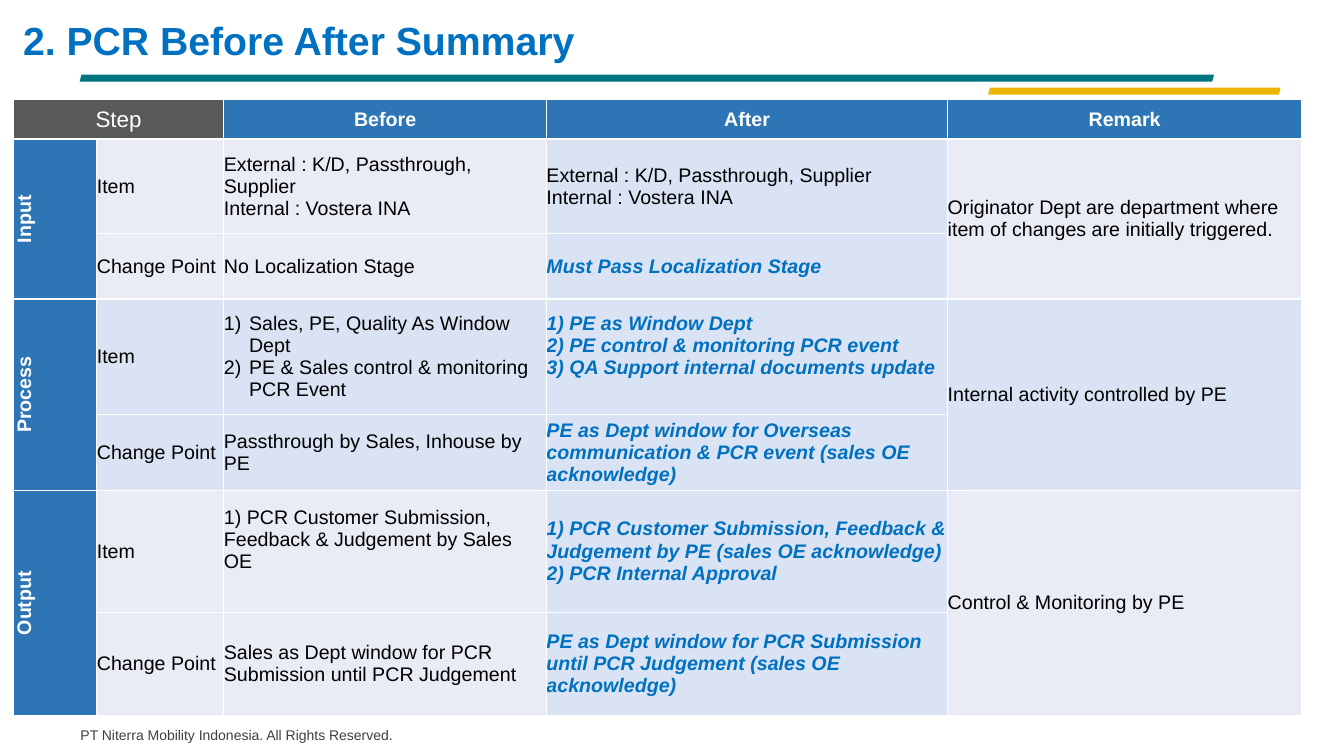
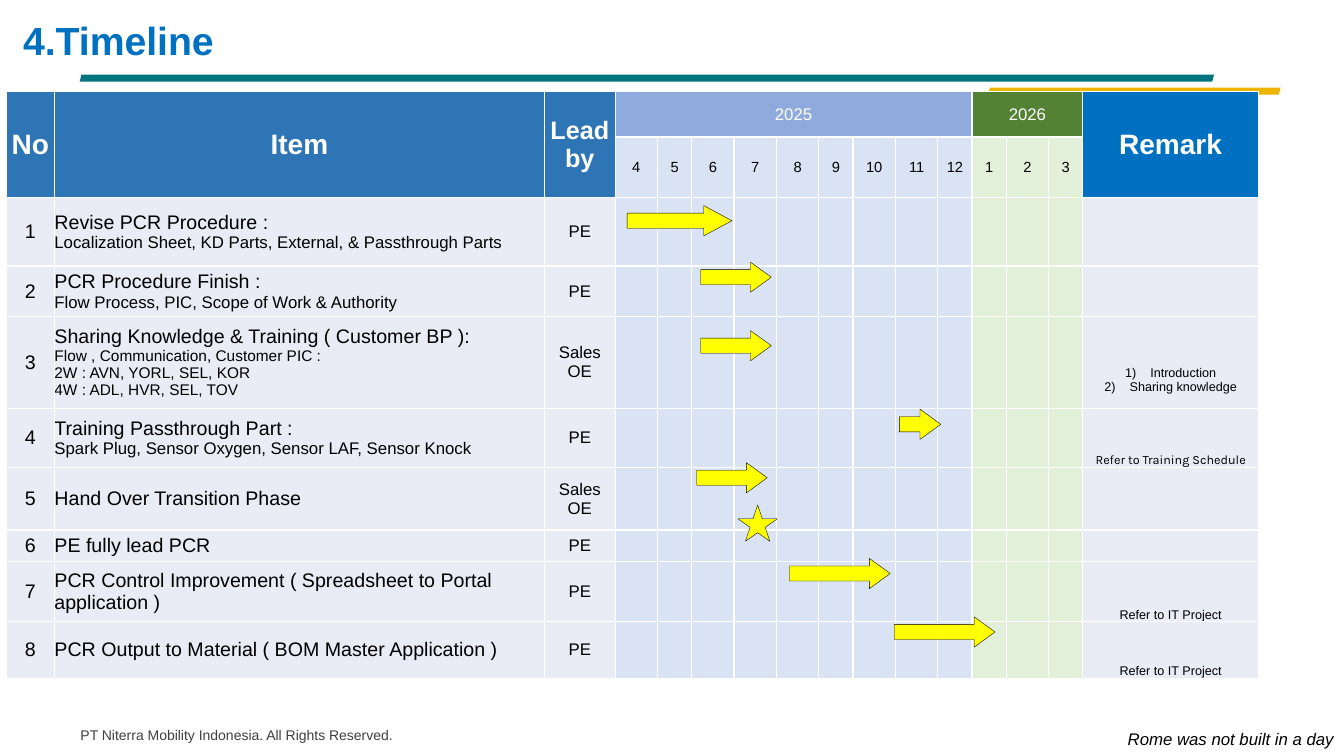
from dataclasses import dataclass, replace
from typing import NamedTuple, Optional

from lxml import etree
from pptx import Presentation
from pptx import util as u
from pptx.dml import color
from pptx.enum import shapes, text
from pptx.oxml import ns

WIDTH, HEIGHT = u.Inches(13.33), u.Inches(7.5)
FONT = "Arial"
WHITE, BLACK = "FFFFFF", "000000"
HEADING, HEADER, STEP = "0070C0", "2E75B6", "595959"
TEAL, GOLD, FOOTER = "007580", "EEB500", "3F3F3F"
PLAIN, BLUE_TINT, GREEN_TINT = "E9EBF5", "DAE3F3", "E2F0D9"
YEAR_BLUE, YEAR_GREEN, MARKER = "8FAADC", "548235", "FFFF00"

CENTER, LEFT, RIGHT = text.PP_ALIGN.CENTER, text.PP_ALIGN.LEFT, text.PP_ALIGN.RIGHT
MIDDLE, BOTTOM = text.MSO_ANCHOR.MIDDLE, text.MSO_ANCHOR.BOTTOM
ARROW = shapes.MSO_SHAPE.RIGHT_ARROW
STAR = shapes.MSO_SHAPE.STAR_5_POINT
SLANTED = shapes.MSO_SHAPE.PARALLELOGRAM


class Box(NamedTuple):
    """A place on the slide, in percent of its width and height."""
    left: float
    top: float
    width: float
    height: float

    def lengths(self) -> tuple:
        return (u.Emu(int(WIDTH * self.left / 100)), u.Emu(int(HEIGHT * self.top / 100)),
                u.Emu(int(WIDTH * self.width / 100)), u.Emu(int(HEIGHT * self.height / 100)))


@dataclass(frozen=True)
class Style:
    size: float = 14
    colour: str = BLACK
    bold: bool = False
    italic: bool = False
    align: text.PP_ALIGN = LEFT
    font: str = FONT


@dataclass(frozen=True)
class Cell:
    lines: tuple = ()
    fill: str = PLAIN
    style: Style = Style()
    detail_size: Optional[float] = None
    rows: int = 1
    columns: int = 1
    anchor: text.MSO_ANCHOR = MIDDLE
    right: float = 0
    bottom: float = 0
    vertical: bool = False
    numbered: bool = False


class Marker(NamedTuple):
    box: Box
    preset: shapes.MSO_SHAPE = ARROW
    adjustments: tuple = (0.5, 0.69)


TITLE_BOX = Box(0.98, 1.47, 60.24, 7.6)
FOOTER_BOX = Box(5.25, 95.47, 35.78, 3.6)
MOTTO_BOX = Box(78.92, 95.73, 21.08, 4)
BANDS = ((Box(5.93, 9.87, 84.4, 0.93), TEAL), (Box(73.52, 11.6, 21.76, 0.93), GOLD))

HEAD = Style(colour=WHITE, bold=True, align=CENTER)
BIG_HEAD = replace(HEAD, size=20)
YEAR = replace(HEAD, size=12, bold=False)
CHANGED = Style(colour=HEADING, bold=True, italic=True)
NUMBER = Style(align=CENTER)
LEAD = Style(size=12, align=CENTER)
MONTH = Style(size=10.5, align=CENTER)
REMARK = Style(size=9, align=CENTER)


def rgb(value: str) -> color.RGBColor:
    return color.RGBColor.from_string(value)


def add_element(parent, tag: str, **attributes: str):
    element = etree.SubElement(parent, ns.qn(tag))
    for name, value in attributes.items():
        element.set(name, value)
    return element


def number_paragraph(paragraph) -> None:
    properties = paragraph._p.get_or_add_pPr()
    properties.set("marL", str(u.Inches(0.25)))
    properties.set("indent", str(-u.Inches(0.25)))
    add_element(add_element(properties, "a:buClr"), "a:srgbClr", val=BLACK)
    add_element(properties, "a:buAutoNum", type="arabicParenR")


def write(text_frame, lines: tuple, style: Style, detail_size: Optional[float] = None,
          numbered: bool = False) -> None:
    """Write one paragraph per line; detail_size applies after the first."""
    text_frame.text = "\n".join(lines)
    for index, paragraph in enumerate(text_frame.paragraphs):
        paragraph.alignment = style.align
        if numbered:
            number_paragraph(paragraph)
        for run in paragraph.runs:
            run.font.name = style.font
            run.font.size = u.Pt(detail_size if index and detail_size else style.size)
            run.font.bold, run.font.italic = style.bold, style.italic
            run.font.color.rgb = rgb(style.colour)


def add_text(slide, box: Box, words: str, style: Style) -> None:
    text_frame = slide.shapes.add_textbox(*box.lengths()).text_frame
    text_frame.word_wrap = True
    text_frame.auto_size = text.MSO_AUTO_SIZE.SHAPE_TO_FIT_TEXT
    write(text_frame, (words,), style)


def add_shape(slide, preset, box: Box, fill: str, adjustments: tuple = (),
              line: Optional[str] = None):
    shape = slide.shapes.add_shape(preset, *box.lengths())
    shape.shadow.inherit = False
    shape.fill.solid()
    shape.fill.fore_color.rgb = rgb(fill)
    for index, value in enumerate(adjustments):
        shape.adjustments[index] = value
    if line:
        shape.line.color.rgb = rgb(line)
        shape.line.width = u.Pt(0.25)
    else:
        shape.line.fill.background()
    return shape


def add_slide(presentation, title: str):
    slide = presentation.slides.add_slide(presentation.slide_layouts[6])
    add_text(slide, FOOTER_BOX, "PT Niterra Mobility Indonesia. All Rights Reserved.",
             Style(size=10, colour=FOOTER))
    for box, fill in BANDS:
        add_shape(slide, SLANTED, box, fill, (0.25,))
    add_text(slide, TITLE_BOX, title, Style(size=28, colour=HEADING, bold=True))
    return slide


def prepare_cell(table_cell) -> None:
    """Remove the margins and draw white borders."""
    table_cell.margin_left = table_cell.margin_right = 0
    table_cell.margin_top = table_cell.margin_bottom = 0
    properties = table_cell._tc.get_or_add_tcPr()
    for side in ("a:lnL", "a:lnR", "a:lnT", "a:lnB"):
        line = add_element(properties, side, w=str(u.Pt(1)))
        add_element(add_element(line, "a:solidFill"), "a:srgbClr", val=WHITE)


def fill_cell(table_cell, cell: Cell) -> None:
    table_cell.fill.solid()
    table_cell.fill.fore_color.rgb = rgb(cell.fill)
    table_cell.vertical_anchor = cell.anchor
    table_cell.margin_right = u.Inches(cell.right)
    table_cell.margin_bottom = u.Inches(cell.bottom)
    if cell.vertical:
        table_cell._tc.get_or_add_tcPr().set("vert", "vert270")
    if cell.lines:
        write(table_cell.text_frame, cell.lines, cell.style, cell.detail_size, cell.numbered)


def add_table(slide, box: Box, columns: tuple, rows: tuple, cells: list) -> None:
    """Share the box out by column and row weights; None marks a covered cell."""
    left, top, width, height = box.lengths()
    table = slide.shapes.add_table(len(rows), len(columns), left, top, width, height).table
    table.first_row = table.horz_banding = False
    for column, weight in zip(table.columns, columns):
        column.width = int(width * weight / sum(columns))
    for row, weight in zip(table.rows, rows):
        row.height = int(height * weight / sum(rows))
    for table_cell in table.iter_cells():
        prepare_cell(table_cell)
    for row, row_cells in enumerate(cells):
        for column, cell in enumerate(row_cells):
            if cell is None:
                continue
            table_cell = table.cell(row, column)
            if cell.rows > 1 or cell.columns > 1:
                table_cell.merge(table.cell(row + cell.rows - 1, column + cell.columns - 1))
            fill_cell(table_cell, cell)


class Stage(NamedTuple):
    name: str
    fill: str
    item_before: Cell
    item_after: Cell
    change_before: str
    change_after: str
    remark: str


SOURCES = ("External : K/D, Passthrough, Supplier", "Internal : Vostera INA")
STAGES = (
    Stage("Input", PLAIN, Cell(SOURCES), Cell(SOURCES, BLUE_TINT),
          "No Localization Stage", "Must Pass Localization Stage",
          "Originator Dept are department where item of changes are initially triggered."),
    Stage("Process", BLUE_TINT,
          Cell(("Sales, PE, Quality As Window Dept",
                "PE & Sales control & monitoring PCR Event"), BLUE_TINT, numbered=True),
          Cell(("1) PE as Window Dept", "2) PE control & monitoring PCR event",
                "3) QA Support internal documents update"), BLUE_TINT, CHANGED, bottom=0.22),
          "Passthrough by Sales, Inhouse by PE",
          "PE as Dept window for Overseas communication & PCR event (sales OE acknowledge)",
          "Internal activity controlled by PE"),
    Stage("Output", PLAIN,
          Cell(("1) PCR Customer Submission, Feedback & Judgement by Sales OE",),
               right=0.1, bottom=0.22),
          Cell(("1) PCR Customer Submission, Feedback & Judgement by PE (sales OE acknowledge)",
                "2) PCR Internal Approval"), BLUE_TINT, CHANGED),
          "Sales as Dept window for PCR Submission until PCR Judgement",
          "PE as Dept window for PCR Submission until PCR Judgement (sales OE acknowledge)",
          "Control & Monitoring by PE"),
)


def summary_cells() -> list:
    step = Cell(("Step",), STEP, replace(HEAD, size=16, bold=False), columns=2)
    cells = [[step, None] + [Cell((name,), HEADER, HEAD) for name in ("Before", "After", "Remark")]]
    for stage in STAGES:
        cells.append([Cell((stage.name,), HEADER, HEAD, rows=2, vertical=True),
                      Cell(("Item",), stage.fill), stage.item_before, stage.item_after,
                      Cell((stage.remark,), stage.fill, rows=2)])
        cells.append([None, Cell(("Change Point",), stage.fill),
                      Cell((stage.change_before,), stage.fill),
                      Cell((stage.change_after,), BLUE_TINT, CHANGED), None])
    return cells


class Task(NamedTuple):
    lines: tuple
    lead: str = "PE"
    remark: Cell = Cell()
    detail_size: float = 12


def remark(words: str, font: str = FONT) -> Cell:
    return Cell((words,), style=replace(REMARK, font=font), anchor=BOTTOM)


TASKS = (
    Task(("Revise PCR Procedure :", "Localization Sheet, KD Parts, External, & Passthrough Parts")),
    Task(("PCR Procedure Finish :", "Flow Process, PIC, Scope of Work & Authority")),
    Task(("Sharing Knowledge & Training ( Customer BP ):", "Flow , Communication, Customer PIC :",
          "2W : AVN, YORL, SEL, KOR", "4W : ADL, HVR, SEL, TOV"), "Sales OE",
         Cell(("Introduction", "Sharing knowledge"), style=REMARK, anchor=BOTTOM,
              bottom=0.14, numbered=True), 11),
    Task(("Training Passthrough Part :", "Spark Plug, Sensor Oxygen, Sensor LAF, Sensor Knock"),
         remark=remark("Refer to Training Schedule", "Karla")),
    Task(("Hand Over Transition Phase",), "Sales OE"),
    Task(("PE fully lead PCR",)),
    Task(("PCR Control Improvement ( Spreadsheet to Portal application )",),
         remark=remark("Refer to IT Project")),
    Task(("PCR Output to Material ( BOM Master Application )",),
         remark=remark("Refer to IT Project")),
)
MONTHS = [(month, BLUE_TINT) for month in range(4, 13)] + [(month, GREEN_TINT) for month in (1, 2, 3)]
MONTH_WIDTHS = (0.42, 0.34, 0.42, 0.42, 0.42, 0.34, 0.42, 0.42, 0.34, 0.34, 0.42, 0.34)

MARKERS = (
    Marker(Box(46.66, 27.2, 7.8, 4), adjustments=(0.5, 0.93)),
    Marker(Box(54.91, 66.8, 2.93, 4.8), STAR, ()),
    Marker(Box(52.14, 34.67, 5.25, 4)),
    Marker(Box(52.14, 43.73, 5.25, 4)),
    Marker(Box(66.92, 54.13, 3.08, 4)),
    Marker(Box(51.84, 61.2, 5.25, 4)),
    Marker(Box(58.74, 73.87, 7.5, 4)),
    Marker(Box(66.54, 81.6, 7.5, 4)),
)


def timeline_cells() -> list:
    years = [Cell(("2025",), YEAR_BLUE, YEAR, columns=9), *[None] * 8,
             Cell(("2026",), YEAR_GREEN, YEAR, columns=3), None, None]
    cells = [[Cell(("No",), HEADER, BIG_HEAD, rows=2), Cell(("Item",), HEADER, BIG_HEAD, rows=2),
              Cell(("Lead by",), HEADER, replace(HEAD, size=18), rows=2), *years,
              Cell(("Remark",), HEADING, BIG_HEAD, rows=2)],
             [None] * 3 + [Cell((str(month),), fill, MONTH) for month, fill in MONTHS] + [None]]
    for number, task in enumerate(TASKS, 1):
        cells.append([Cell((str(number),), style=NUMBER),
                      Cell(task.lines, detail_size=task.detail_size),
                      Cell((task.lead,), style=LEAD),
                      *[Cell(fill=fill) for _, fill in MONTHS], task.remark])
    return cells


def main() -> None:
    presentation = Presentation()
    presentation.slide_width, presentation.slide_height = WIDTH, HEIGHT

    summary = add_slide(presentation, "2. PCR Before After Summary")
    add_table(summary, Box(0.98, 13.2, 95.87, 81.5), (0.83, 1.26, 3.2, 3.98, 3.51),
              (0.39, 0.94, 0.65, 1.15, 0.75, 1.21, 1.03), summary_cells())

    timeline = add_slide(presentation, "4.Timeline")
    add_table(timeline, Box(0.45, 12.13, 93.2, 77.6), (0.48, 4.86, 0.7, *MONTH_WIDTHS, 1.74),
              (0.45, 0.6, 0.68, 0.5, 0.91, 0.59, 0.62, 0.31, 0.6, 0.56), timeline_cells())
    for marker in MARKERS:
        add_shape(timeline, marker.preset, marker.box, MARKER, marker.adjustments, BLACK)
    motto = add_shape(timeline, shapes.MSO_SHAPE.RECTANGLE, MOTTO_BOX, WHITE)
    motto.text_frame.word_wrap = True
    motto.text_frame.vertical_anchor = text.MSO_ANCHOR.TOP
    write(motto.text_frame, ("Rome was not built in a day",),
          Style(size=12, italic=True, align=RIGHT))
    presentation.save("out.pptx")


if __name__ == "__main__":
    main()
